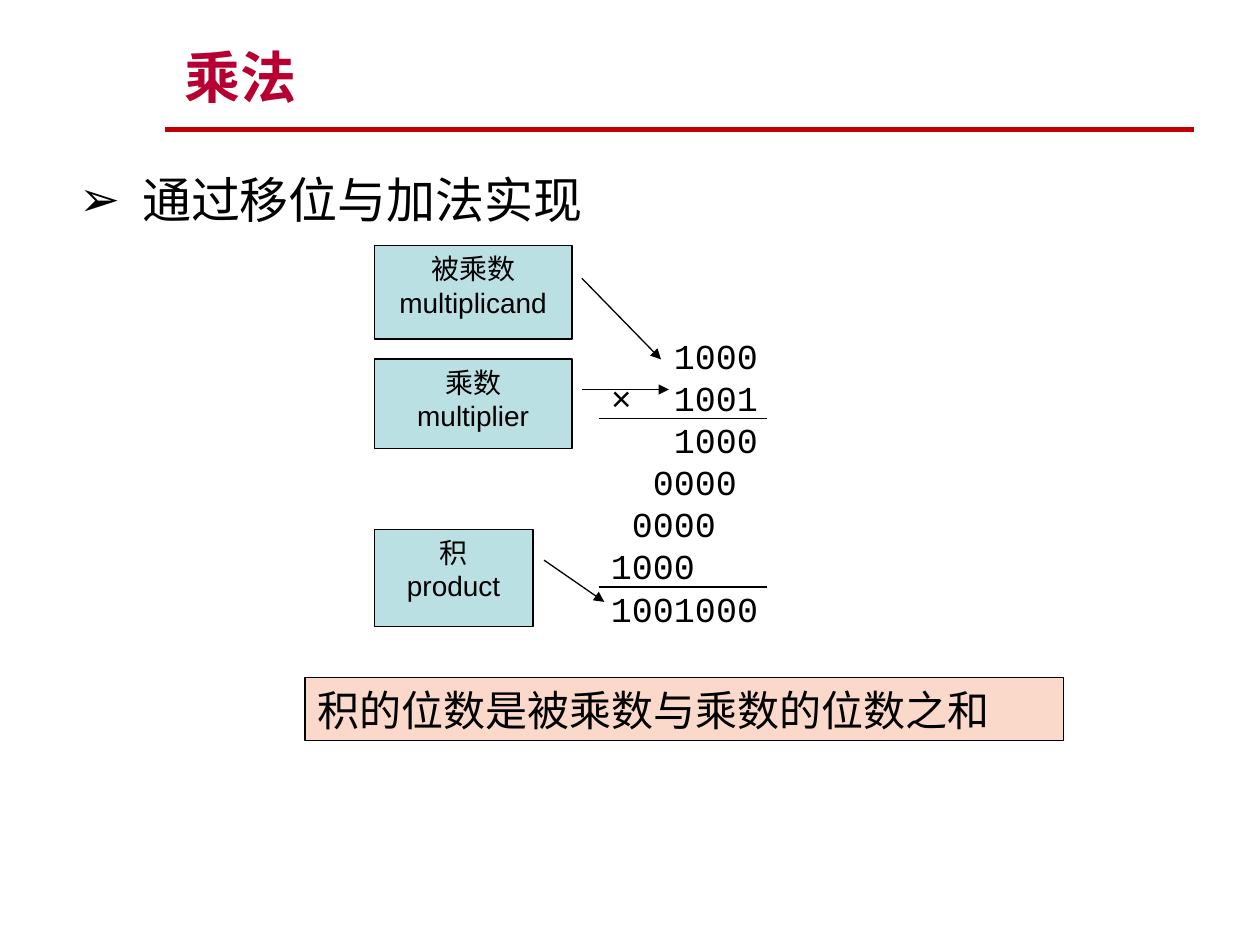
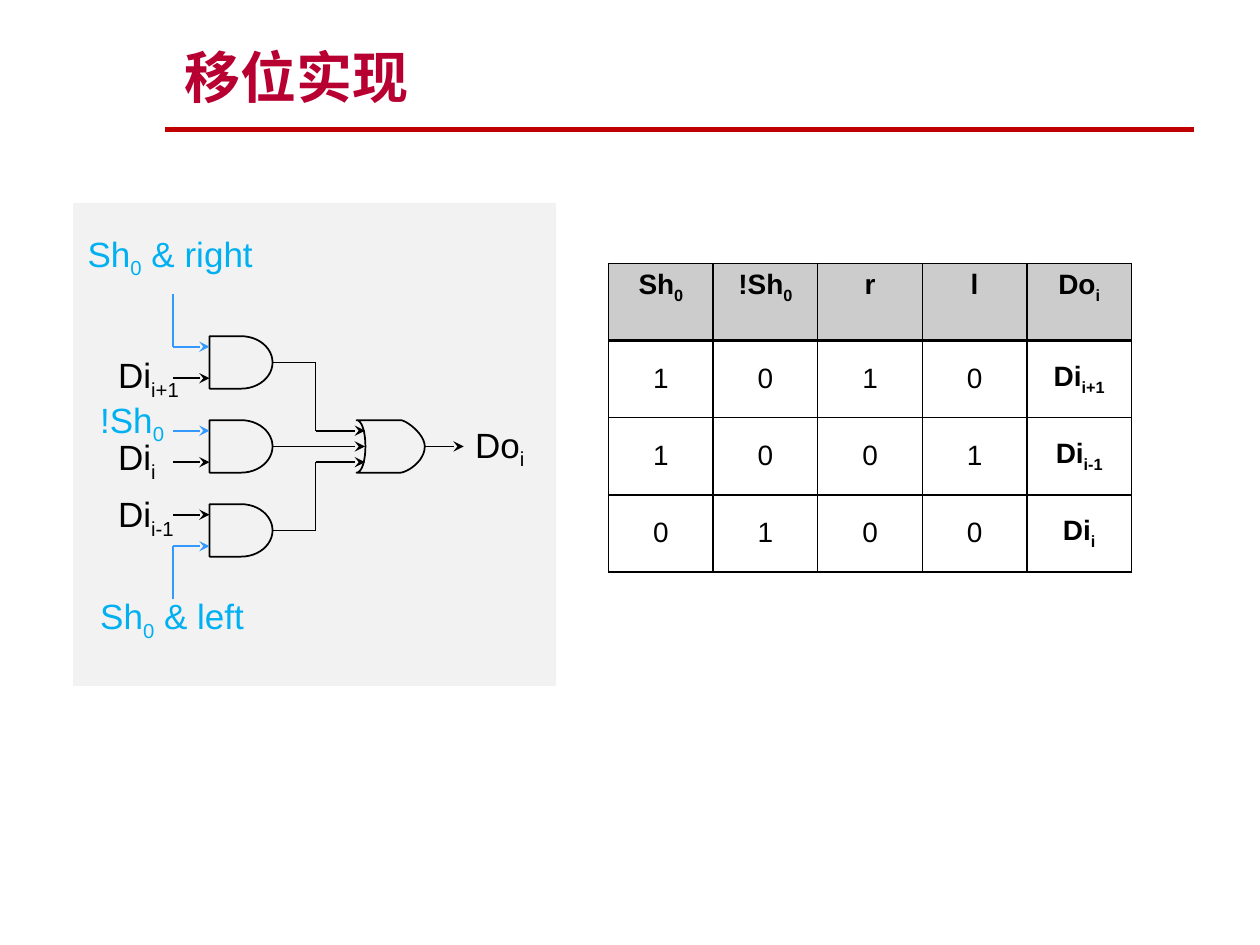
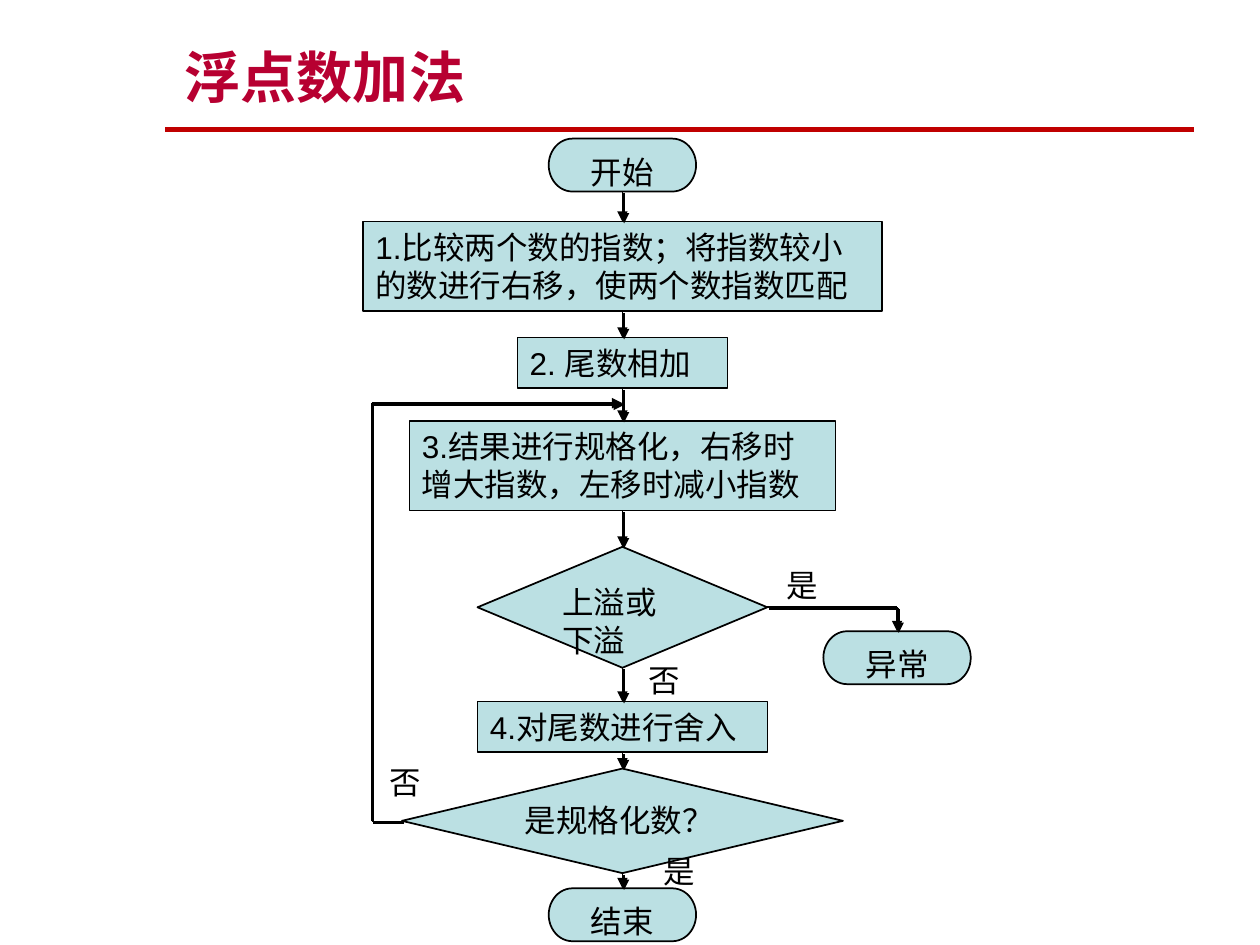
import dataclasses
import itertools

import pptx
import pptx.dml.color
import pptx.enum.shapes
import pptx.enum.text
import pptx.oxml.ns
import pptx.util
from lxml import etree

SHAPE = pptx.enum.shapes.MSO_SHAPE
ANCHOR = pptx.enum.text.MSO_ANCHOR
CENTER = pptx.enum.text.PP_ALIGN.CENTER
LEFT = pptx.enum.text.PP_ALIGN.LEFT
STRAIGHT = pptx.enum.shapes.MSO_CONNECTOR.STRAIGHT
Pt = pptx.util.Pt
qn = pptx.oxml.ns.qn

COLORS = {
    "ink": "000000", "title": "B70031", "rule": "C00000",
    "step": "BBE0E3", "conclusion": "FAD8CA", "panel": "F2F2F2", "header": "CCCCCC",
    "control": "00B0F0", "control_wire": "3399FF",
}
ARROW_SHADOW = {"distance": 1.4, "angle": 45}


@dataclasses.dataclass
class Grid:
    """Square grid: origin and unit in inches, positions in columns and rows."""
    left: float = 0
    top: float = 0
    unit: float = 0.1

    def point(self, column, row):
        return (pptx.util.Inches(self.left + column * self.unit),
                pptx.util.Inches(self.top + row * self.unit))

    def box(self, column, row, columns, rows):
        size = (pptx.util.Inches(n * self.unit) for n in (columns, rows))
        return (*self.point(column, row), *size)


PAGE = Grid()


def rgb(color):
    return pptx.dml.color.RGBColor.from_string(COLORS[color])


def apply(target, values):
    for key, value in values.items():
        setattr(target, key, value)


def set_shadow(shape, shadow=None):
    effects = etree.SubElement(shape._element.spPr, qn("a:effectLst"))
    if shadow:
        outer = etree.SubElement(
            effects, qn("a:outerShdw"),
            dist=str(Pt(shadow["distance"])), dir=str(shadow["angle"] * 60000))
        etree.SubElement(outer, qn("a:srgbClr"), val=COLORS["ink"])


def set_line(shape, color, width, arrow=None):
    shape.line.color.rgb = rgb(color)
    shape.line.width = Pt(width)
    if arrow:
        etree.SubElement(shape._element.spPr.find(qn("a:ln")), qn("a:tailEnd"), type=arrow)


def write(frame, text, size, color="ink", name="Arial", bold=False, **layout):
    """Write lines split at newlines; every second part split at | is a subscript."""
    for number, line in enumerate(text.split("\n")):
        paragraph = frame.add_paragraph() if number else frame.paragraphs[0]
        apply(paragraph, layout)
        for order, part in enumerate(line.split("|")):
            run = paragraph.add_run()
            run.text = part
            apply(run.font, {"size": Pt(size), "name": name, "bold": bold})
            run.font.color.rgb = rgb(color)
            if order % 2:
                run._r.get_or_add_rPr().set("baseline", "-25000")


def add_text(slide, box, text, size, anchor=ANCHOR.TOP, **style):
    frame = slide.shapes.add_textbox(*box).text_frame
    apply(frame, {"word_wrap": True, "vertical_anchor": anchor})
    write(frame, text, size, **style)
    return frame


def add_figure(slide, kind, box, fill=None, line=None, width=1, arrow=None):
    figure = slide.shapes.add_shape(kind, *box)
    if fill:
        figure.fill.solid()
        figure.fill.fore_color.rgb = rgb(fill)
    else:
        figure.fill.background()
    if line:
        set_line(figure, line, width, arrow)
    else:
        figure.line.fill.background()
    figure.shadow.inherit = False
    apply(figure.text_frame, {"word_wrap": True, "vertical_anchor": ANCHOR.TOP})
    return figure


def add_wire(slide, grid, points, color="ink", width=1, arrow=None, shadow=None):
    """Join points by straight pieces; an arrowhead goes on the last one."""
    pieces = list(itertools.pairwise(points))
    for piece in pieces:
        start, end = piece
        wire = slide.shapes.add_connector(STRAIGHT, *grid.point(*start), *grid.point(*end))
        set_line(wire, color, width, arrow if piece == pieces[-1] else None)
        set_shadow(wire, shadow)


def new_slide(deck, title):
    slide = deck.slides.add_slide(deck.slide_layouts[6])
    add_wire(slide, PAGE, [(13.1, 10.3), (94.8, 10.3)], "rule", 3)
    add_text(slide, PAGE.box(13.7, 2.5, 80, 6.7), title, 32, ANCHOR.BOTTOM,
             color="title", bold=True)
    return slide


def add_bullet(slide, box, text):
    frame = add_text(slide, box, text, 28, line_spacing=Pt(40))
    properties = frame.paragraphs[0]._p.get_or_add_pPr()
    for key, value in {"marL": Pt(36), "indent": -Pt(36)}.items():
        properties.set(key, str(value))
    etree.SubElement(properties, qn("a:buFont"), typeface="Arial")
    etree.SubElement(properties, qn("a:buChar"), char="➢")


def add_long_multiplication(slide, grid):
    digit = Pt(12)
    rows = [(3, "1000"), (0, "×\t1001"), (3, "1000"), (2, "0000"),
            (1, "0000"), (0, "1000"), (0, "1001000")]
    frame = add_text(slide, grid.box(0, 0, 14.9, 24.6), "\n".join(text for _, text in rows),
                     20, name="Courier New", line_spacing=Pt(24))
    frame.margin_top = Pt(3.5)
    for paragraph, (shift, text) in zip(frame.paragraphs, rows):
        properties = paragraph._p.get_or_add_pPr()
        properties.set("marL", str(shift * digit))
        if "\t" in text:
            tabs = etree.SubElement(properties, qn("a:tabLst"))
            etree.SubElement(tabs, qn("a:tab"), pos=str(3 * digit), algn="l")
    for row in (7.1, 20.5):
        add_wire(slide, grid, [(0, row), (13.4, row)], width=0.75)


def add_callouts(slide, grid):
    for text, row, columns, rows, pointer in [
            ("被乘数\nmultiplicand", 0, 15.7, 7.4, (0.35, 1.05, 1.22, 1.45)),
            ("乘数\nmultiplier", 9, 15.7, 7.1, (0.34, 1.05, 0.34, 1.49)),
            ("积\nproduct", 22.5, 12.6, 7.7, (0.32, 1.07, 0.75, 1.45))]:
        callout = add_figure(slide, SHAPE.LINE_CALLOUT_1, grid.box(0, row, columns, rows),
                             "step", "ink", 0.75, "triangle")
        for index, share in enumerate(pointer):
            callout.adjustments[index] = share
        write(callout.text_frame, text, 16, alignment=CENTER)


def multiplication_slide(deck):
    slide = new_slide(deck, "乘法")
    add_bullet(slide, PAGE.box(5.3, 12.1, 89.5, 59.5), "通过移位与加法实现")
    add_long_multiplication(slide, Grid(4.75, 2.61))
    conclusion = add_figure(slide, SHAPE.RECTANGLE, PAGE.box(24.2, 53.8, 60.2, 5),
                            "conclusion", "ink", 0.75)
    write(conclusion.text_frame, "积的位数是被乘数与乘数的位数之和", 24, alignment=LEFT)
    add_callouts(slide, Grid(2.97, 1.95))


def curve(start, first, second, end, steps=12):
    """Points of a cubic curve after its start."""
    for t in (step / steps for step in range(1, steps + 1)):
        weights = ((1 - t) ** 3, 3 * t * (1 - t) ** 2, 3 * t * t * (1 - t), t ** 3)
        yield tuple(sum(w * p[axis] for w, p in zip(weights, (start, first, second, end)))
                    for axis in (0, 1))


def add_or_gate(slide, grid, left, top):
    bottom, middle = top + 5, top + 2.5
    hollow, shoulder, tip = left + 0.85, left + 4.2, left + 6.5
    outline = [
        *curve((left, bottom), (left + 0.5, bottom), (hollow, top + 3.9), (hollow, middle)),
        *curve((hollow, middle), (hollow, top + 1.1), (left + 0.5, top), (left, top)),
        (shoulder, top),
        *curve((shoulder, top), (left + 4.7, top), (tip, top + 1.3), (tip, middle)),
        *curve((tip, middle), (tip, top + 4), (left + 4.7, bottom), (shoulder, bottom)),
    ]
    builder = slide.shapes.build_freeform(*grid.point(left, bottom))
    builder.add_line_segments([grid.point(*p) for p in outline], close=True)
    gate = builder.convert_to_shape()
    gate.fill.background()
    set_line(gate, "ink", 1)
    gate.shadow.inherit = False


def add_shifter_circuit(slide, grid):
    add_figure(slide, SHAPE.RECTANGLE, grid.box(0, 0, 46, 46), "panel")
    source, gate_left, gate_right, bend, or_left = 9.5, 13, 19, 23.1, 27
    gate_tops = [12.7 + 8 * k for k in range(3)]
    or_top = gate_tops[1]
    wire_colors = [("control_wire", "ink"), ("control_wire", "ink"), ("ink", "control_wire")]
    for top, colors, entry in zip(gate_tops, wire_colors, (1, 2.5, 4)):
        add_figure(slide, SHAPE.FLOWCHART_DELAY, grid.box(gate_left, top, 6, 5), line="ink")
        for color, row in zip(colors, (top + 1, top + 4)):
            add_wire(slide, grid, [(source, row), (gate_left, row)], color, arrow="stealth")
        output = [(gate_right, top + 2.5)]
        if top != or_top:
            output += [(bend, top + 2.5), (bend, or_top + entry)]
        add_wire(slide, grid, output + [(or_left + 0.8, or_top + entry)], arrow="stealth")
    add_or_gate(slide, grid, or_left, or_top)
    add_wire(slide, grid, [(33.5, or_top + 2.5), (37.2, or_top + 2.5)], arrow="stealth")
    for start, end in ((8.7, 13.7), (37.7, 32.7)):
        add_wire(slide, grid, [(source, start), (source, end)], "control_wire")
    for text, column, row, columns, color in [
            ("Do|i", 37.1, 20.4, 11.6, "ink"), ("Di|i", 3.1, 21.6, 11.6, "ink"),
            ("Di|i-1", 3.1, 27, 11.6, "ink"), ("Di|i+1", 3.1, 13.8, 11.6, "ink"),
            ("Sh|0| & left", 1.4, 36.7, 21.4, "control"),
            ("Sh|0| & right", 0.2, 2.2, 21.4, "control"),
            ("!Sh|0", 1.4, 18, 9.6, "control")]:
        add_text(slide, grid.box(column, row, columns, 5.3), text, 20, color=color)


def border_cell(cell, widths):
    properties = cell._tc.get_or_add_tcPr()
    for side, width in zip("LRTB", widths):
        edge = etree.SubElement(properties, qn("a:ln" + side), w=str(Pt(width)))
        paint = etree.SubElement(edge, qn("a:solidFill"))
        etree.SubElement(paint, qn("a:srgbClr"), val=COLORS["ink"])


def add_truth_table(slide, box):
    rows = [("Sh|0", "!Sh|0", "r", "l", "Do|i"),
            ("1", "0", "1", "0", "Di|i+1"),
            ("1", "0", "0", "1", "Di|i-1"),
            ("0", "1", "0", "0", "Di|i")]
    table = slide.shapes.add_table(len(rows), len(rows[0]), *box).table
    apply(table, {"first_row": False, "horz_banding": False})
    for r, row in enumerate(rows):
        for c, text in enumerate(row):
            cell = table.cell(r, c)
            is_header = r == 0
            border_cell(cell, (1, 1, 2 if r == 1 else 1, 2 if is_header else 1))
            if is_header:
                cell.fill.solid()
                cell.fill.fore_color.rgb = rgb("header")
            else:
                cell.fill.background()
            cell.vertical_anchor = ANCHOR.TOP if is_header else ANCHOR.MIDDLE
            write(cell.text_frame, text, 16, bold=is_header or c == len(row) - 1,
                  alignment=CENTER)


def shifter_slide(deck):
    slide = new_slide(deck, "移位实现")
    add_shifter_circuit(slide, Grid(0.58, 1.61, 1 / 12))
    add_truth_table(slide, PAGE.box(48.3, 20.9, 41.5, 24.5))


def add_node(slide, grid, kind, text, middle, top, columns, rows):
    is_process = kind == SHAPE.RECTANGLE
    node = add_figure(slide, kind, grid.box(middle - columns / 2, top, columns, rows),
                      "step", "ink", 0.75 if is_process else 1)
    write(node.text_frame, text, 18, name="Arial" if is_process else "Times New Roman",
          alignment=CENTER if kind == SHAPE.FLOWCHART_TERMINATOR else LEFT)


def add_addition_flow(slide, grid):
    terminal, process, decision = (
        SHAPE.FLOWCHART_TERMINATOR, SHAPE.RECTANGLE, SHAPE.FLOWCHART_DECISION)
    axis, error_axis, loop_column = 49.4, 71.2, 29.5
    steps = [
        (terminal, "开始", 11, 11.7, 4.2),
        (process, "1.比较两个数的指数；将指数较小的数进行右移，使两个数指数匹配", 17.6, 41.2, 7.1),
        (process, "2. 尾数相加", 26.8, 16.7, 4),
        (process, "3.结果进行规格化，右移时增大指数，左移时减小指数", 33.4, 33.8, 7.1),
        (decision, "上溢或下溢", 43.4, 23, 9.6),
        (process, "4.对尾数进行舍入", 55.7, 23, 4),
        (decision, "是规格化数？", 61, 35, 8.3),
        (terminal, "结束", 70.5, 11.7, 4.2),
    ]
    for kind, text, *place in steps:
        add_node(slide, grid, kind, text, axis, *place)
    add_node(slide, grid, terminal, "异常", error_axis, 50.1, 11.7, 4.2)

    routes = [[(axis, top + rows), (axis, following[2])]
              for (_, _, top, _, rows), following in itertools.pairwise(steps)]
    routes.append([(axis + 11.5, 48.2), (error_axis, 48.2), (error_axis, 50.1)])
    routes.append([(axis - 17.5, 65.2), (loop_column, 65.2), (loop_column, 32), (axis, 32)])
    for route in routes:
        add_wire(slide, grid, route, arrow="triangle", shadow=ARROW_SHADOW)

    for answer, column, row in [("是", 51.7, 67.1), ("否", 29.9, 60.1),
                                ("是", 61.4, 44.4), ("否", 50.5, 52)]:
        add_text(slide, grid.box(column, row, 7.1, 4), answer, 18)


def floating_point_slide(deck):
    slide = new_slide(deck, "浮点数加法")
    add_addition_flow(slide, PAGE)


def main():
    deck = pptx.Presentation()
    deck.slide_width, deck.slide_height = PAGE.point(100, 75)
    multiplication_slide(deck)
    shifter_slide(deck)
    floating_point_slide(deck)
    deck.save("out.pptx")


if __name__ == "__main__":
    main()
